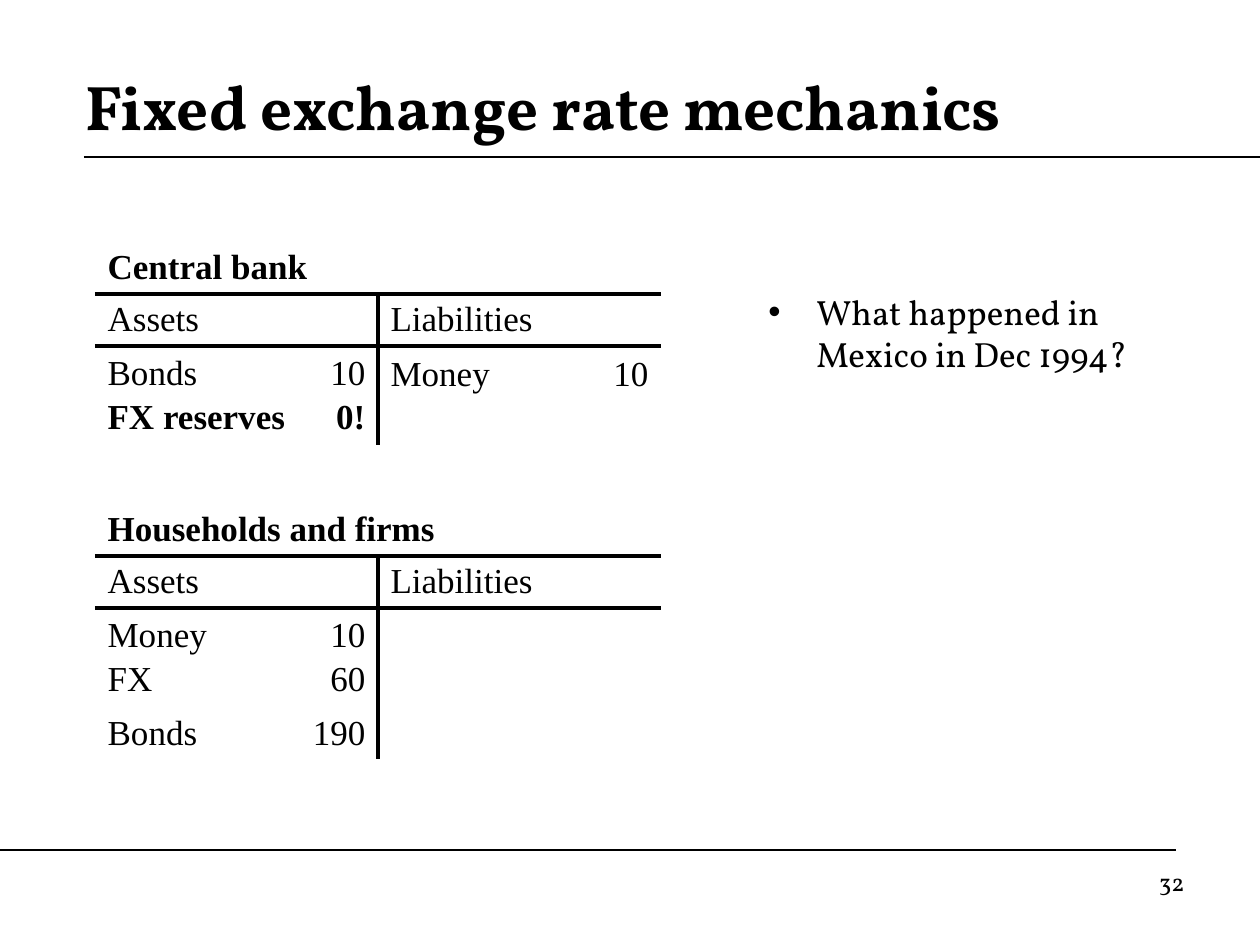
from dataclasses import dataclass
from lxml import etree
from pptx import Presentation
from pptx import util as u
from pptx.dml.color import RGBColor
from pptx.enum import shapes, text
from pptx.oxml.ns import qn

SCALE = 914400 / 126


def px(n):
    return u.Emu(round(n * SCALE))


@dataclass
class Theme:
    ink: str = "000000"
    head: str = "Vollkorn"
    serif: str = "Times New Roman"
    title: int = 36
    body: int = 20
    page: int = 14
    thin: float = 0.75
    rule: float = 2.25
    gap: int = 3


LEFT, RIGHT = text.PP_ALIGN.LEFT, text.PP_ALIGN.RIGHT
TOP, MID = text.MSO_ANCHOR.TOP, text.MSO_ANCHOR.MIDDLE


class Deck:
    def __init__(self, theme):
        self.theme = theme
        self.prs = Presentation()
        self.prs.slide_width, self.prs.slide_height = px(1260), px(945)
        self.slide = self.prs.slides.add_slide(self.prs.slide_layouts[6])

    def font(self, para, name, size, bold=False):
        font = para.font
        font.name, font.size, font.bold = name, u.Pt(size), bold
        font.color.rgb = RGBColor.from_string(self.theme.ink)

    def line(self, x1, x2, y):
        line = self.slide.shapes.add_connector(
            shapes.MSO_CONNECTOR.STRAIGHT, px(x1), px(y), px(x2), px(y))
        line.line.color.rgb = RGBColor.from_string(self.theme.ink)
        line.line.width = u.Pt(self.theme.thin)
        etree.SubElement(line._element.spPr, qn("a:effectLst"))

    def text(self, words, box, size, bold=False, align=LEFT, anchor=TOP, bullet=0):
        frame = self.slide.shapes.add_textbox(*map(px, box)).text_frame
        frame.word_wrap = True
        frame.vertical_anchor = anchor
        para = frame.paragraphs[0]
        para.text, para.alignment = words, align
        if bullet:
            props = para._p.get_or_add_pPr()
            props.set("marL", str(px(bullet)))
            props.set("indent", str(-px(bullet)))
            etree.SubElement(props, qn("a:buFont"), typeface="Arial")
            etree.SubElement(props, qn("a:buChar"), char="•")
        self.font(para, self.theme.head, size, bold)

    def edges(self, cell, sides):
        props = cell._tc.get_or_add_tcPr()
        for i, side in enumerate("LRTB"):
            edge = etree.Element(qn("a:ln" + side))
            if side in sides:
                edge.set("w", str(u.Pt(self.theme.rule)))
                fill = etree.SubElement(edge, qn("a:solidFill"))
                etree.SubElement(fill, qn("a:srgbClr"), val=self.theme.ink)
            else:
                etree.SubElement(edge, qn("a:noFill"))
            props.insert(i, edge)

    def cell(self, cell, words, align=LEFT, bold=()):
        frame = cell.text_frame
        for i, word in enumerate(words):
            para = frame.paragraphs[0] if i == 0 else frame.add_paragraph()
            para.text, para.alignment = word, align
            if i:
                para.space_before = u.Pt(self.theme.gap)
            self.font(para, self.theme.serif, self.theme.body, word in bold)

    def sheet(self, name, at, cols, rows, body, bold=()):
        """A T-account: name, side heads, then rows of four lists of words."""
        grid = self.slide.shapes.add_table(
            len(rows), len(cols), *map(px, (*at, sum(cols), sum(rows)))).table
        grid.first_row = grid.horz_banding = False
        for col, wide in zip(grid.columns, cols):
            col.width = px(wide)
        for row, high in zip(grid.rows, rows):
            row.height = px(high)

        # Rules under the two head rows and down the middle
        for r in range(len(rows)):
            for c in range(len(cols)):
                cell = grid.cell(r, c)
                cell.fill.background()
                cell.vertical_anchor = MID
                cell.margin_top = cell.margin_bottom = px(5)
                sides = ("T" if r in (1, 2) else "") + ("B" if r in (0, 1) else "")
                if r:
                    sides += {1: "R", 2: "L"}.get(c, "")
                self.edges(cell, sides)

        # Merged heads
        grid.cell(0, 0).merge(grid.cell(0, 3))
        self.cell(grid.cell(0, 0), [name], bold=[name])
        for c, side in ((0, "Assets"), (2, "Liabilities")):
            grid.cell(1, c).merge(grid.cell(1, c + 1))
            self.cell(grid.cell(1, c), [side])

        # Entries: labels left, amounts right
        for r, row in enumerate(body, 2):
            for c, words in enumerate(row):
                cell = grid.cell(r, c)
                self.cell(cell, words, RIGHT if c % 2 else LEFT, bold)
                if c > 1:
                    cell.vertical_anchor = TOP
                    cell.margin_top = px(9)


def main():
    theme = Theme()
    deck = Deck(theme)

    # Page frame
    for x1, x2, y in ((84, 1260, 157), (0, 1176, 850), (158, 1260, 157), (0, 892, 850)):
        deck.line(x1, x2, y)
    deck.text("32", (903, 861, 294, 65), theme.page, align=RIGHT)
    deck.text("Fixed exchange rate mechanics", (73, 53, 1092, 105),
              theme.title, bold=True, anchor=MID)

    # Accounts
    deck.sheet("Central bank", (95, 242), (210, 73, 142, 141), (51, 52, 96),
               [[["Bonds", "FX reserves"], ["10", "0!"], ["Money"], ["10"]]],
               bold=("FX reserves", "0!"))
    deck.sheet("Households and firms", (95, 504), (186, 97, 142, 141), (51, 52, 97, 52),
               [[["Money", "FX"], ["10", "60"], [], []],
                [["Bonds"], ["190"], [], []]])

    # Question
    deck.text("What happened in Mexico in Dec 1994?", (756, 284, 431, 483),
              theme.body, bullet=48)

    deck.prs.save("out.pptx")


if __name__ == "__main__":
    main()
